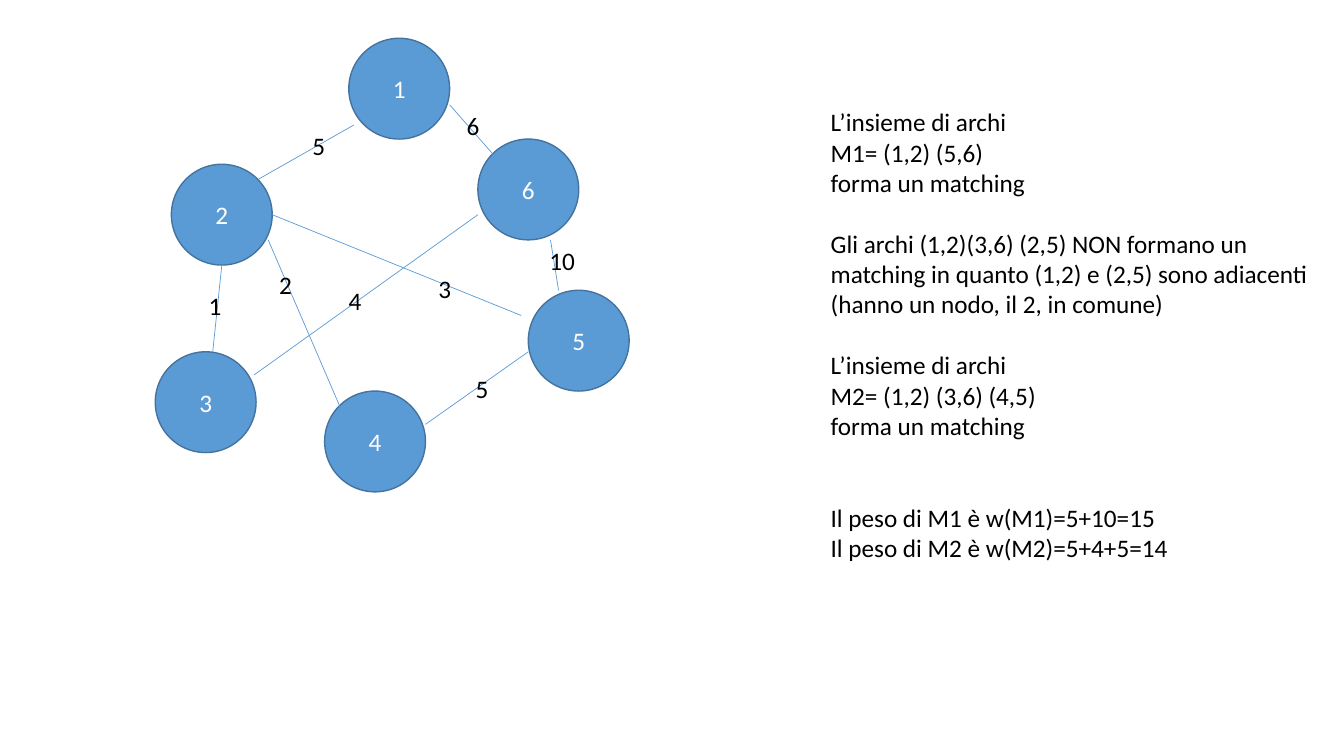
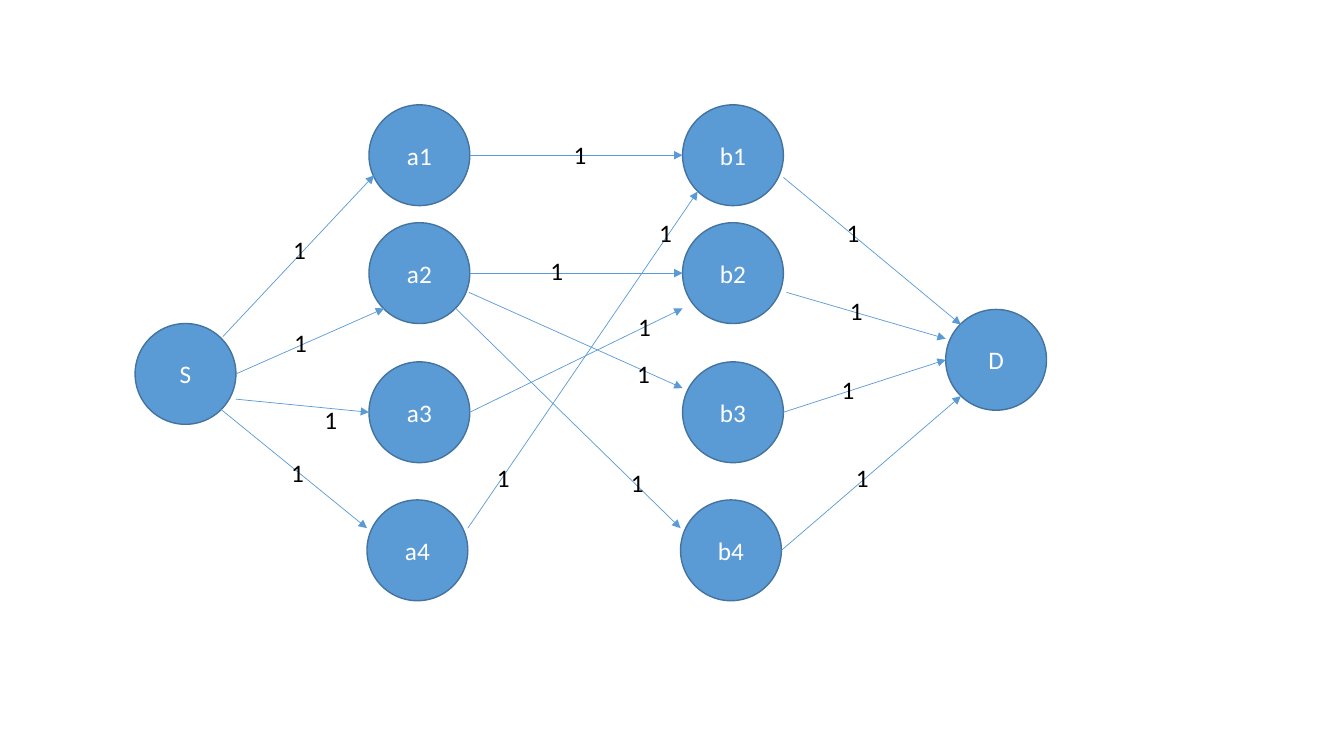
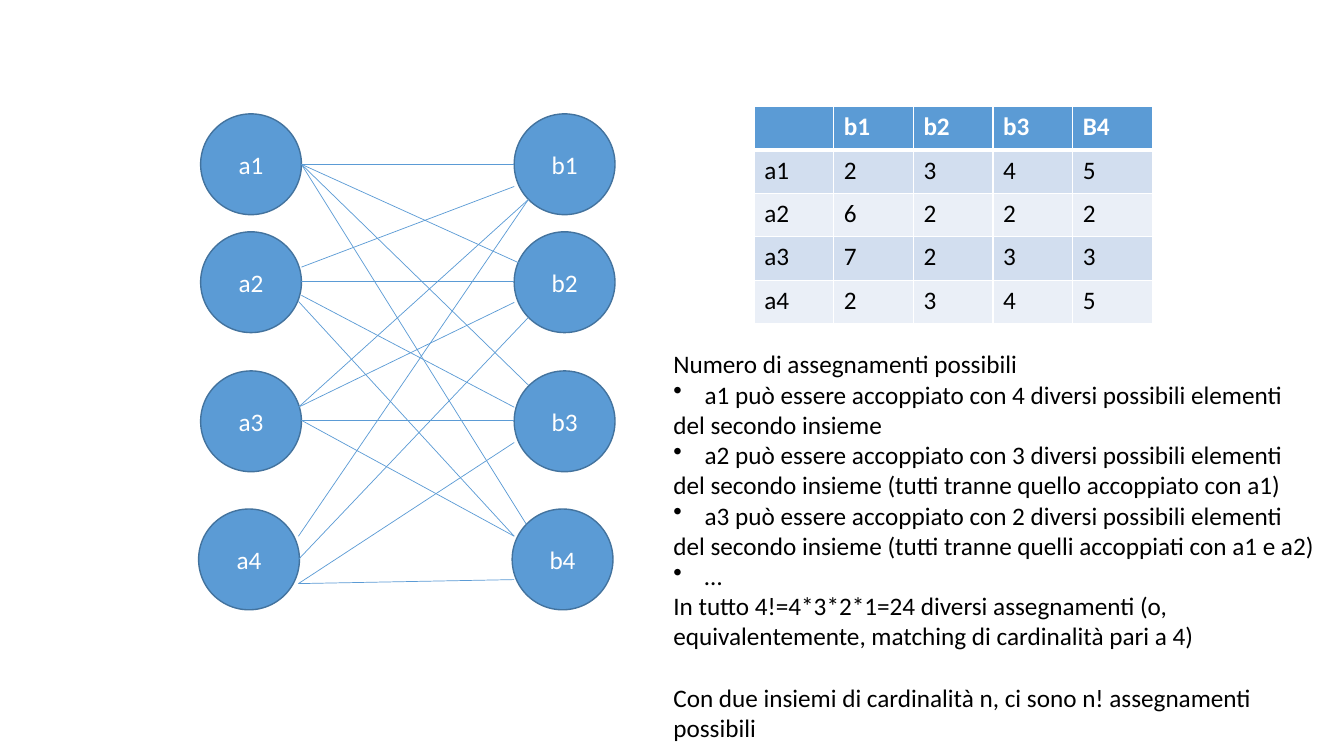
import lxml.etree
import pptx
import pptx.dml.color
import pptx.enum.shapes
import pptx.enum.text
import pptx.oxml
import pptx.oxml.ns
import pptx.util

Inches = pptx.util.Inches
Pt = pptx.util.Pt
qn = pptx.oxml.ns.qn


def color(hex_string):
    return pptx.dml.color.RGBColor.from_string(hex_string)


class GraphDeck:
    """Holds the shared style and the slide being drawn."""

    FONT, SIZE, LINE_SPACE = "Calibri", 18, 22
    BLUE, OUTLINE, WHITE, BLACK = "5B9BD5", "43739E", "FFFFFF", "000000"
    BANDS = ("D2DEEF", "EAEFF7")
    NODE_SIZE = 1
    ROW_OFFSETS = (0, 1.17, 2.55, 3.92)
    COLUMN_GAP = 3.11
    LAST_ROW_SHIFT = -0.02

    def __init__(self):
        self.presentation = pptx.Presentation()
        self.presentation.slide_width = Inches(13.33)
        self.presentation.slide_height = Inches(7.5)
        self.slide = None

    def new_slide(self):
        self.slide = self.presentation.slides.add_slide(self.presentation.slide_layouts[6])

    def run(self, paragraph, text, font_color=BLACK, bold=False):
        run = paragraph.add_run()
        run.text = text
        run.font.name = self.FONT
        run.font.size = Pt(self.SIZE)
        run.font.bold = bold
        run.font.color.rgb = color(font_color)

    def node(self, name, left, top):
        shape = self.slide.shapes.add_shape(
            pptx.enum.shapes.MSO_SHAPE.OVAL, Inches(left), Inches(top),
            Inches(self.NODE_SIZE), Inches(self.NODE_SIZE))
        shape.shadow.inherit = False
        shape.fill.solid()
        shape.fill.fore_color.rgb = color(self.BLUE)
        shape.line.color.rgb = color(self.OUTLINE)
        shape.line.width = Pt(1)
        shape.text_frame.vertical_anchor = pptx.enum.text.MSO_ANCHOR.MIDDLE
        paragraph = shape.text_frame.paragraphs[0]
        paragraph.alignment = pptx.enum.text.PP_ALIGN.CENTER
        self.run(paragraph, name, self.WHITE)

    def bipartite_nodes(self, left, top):
        """Draw the columns a1..a4 and b1..b4."""
        for column, letter in enumerate("ab"):
            for row, offset in enumerate(self.ROW_OFFSETS):
                shift = self.LAST_ROW_SHIFT if row == 3 else 0
                self.node(f"{letter}{row + 1}",
                          left + column * self.COLUMN_GAP + shift, top + offset)

    def edge(self, start, end, arrow=False):
        connector = self.slide.shapes.add_connector(
            pptx.enum.shapes.MSO_CONNECTOR.STRAIGHT,
            *(Inches(value) for value in (*start, *end)))
        connector.line.color.rgb = color(self.BLUE)
        connector.line.width = Pt(0.5)
        if arrow:
            line = connector.line._get_or_add_ln()
            lxml.etree.SubElement(line, qn("a:tailEnd"), type="triangle")
        lxml.etree.SubElement(connector._element.spPr, qn("a:effectLst"))

    def text(self, paragraphs, left, top, width, height, wrap=False):
        """Write (text, blank lines before, bulleted) paragraphs in a box."""
        box = self.slide.shapes.add_textbox(
            Inches(left), Inches(top), Inches(width), Inches(height))
        frame = box.text_frame
        frame.word_wrap = wrap
        frame.auto_size = pptx.enum.text.MSO_AUTO_SIZE.SHAPE_TO_FIT_TEXT
        for index, (text, lines_before, bulleted) in enumerate(paragraphs):
            paragraph = frame.add_paragraph() if index else frame.paragraphs[0]
            if lines_before:
                paragraph.space_before = Pt(lines_before * self.LINE_SPACE)
            if bulleted:
                self.bullet(paragraph)
            self.run(paragraph, text)

    def bullet(self, paragraph):
        properties = paragraph._p.get_or_add_pPr()
        properties.set("marL", str(Inches(0.31)))
        properties.set("indent", str(-Inches(0.31)))
        lxml.etree.SubElement(properties, qn("a:buChar"), char="•")

    def weight(self, text, left, top):
        self.text([(text, 0, False)], left, top, 0.2 + 0.13 * len(text), 0.4)

    def table(self, rows, left, top, column_width, row_height):
        table = self.slide.shapes.add_table(
            len(rows), len(rows[0]), Inches(left), Inches(top),
            Inches(column_width * len(rows[0])), Inches(row_height * len(rows))).table
        for column in table.columns:
            column.width = Inches(column_width)
        for row_index, values in enumerate(rows):
            table.rows[row_index].height = Inches(row_height)
            header = row_index == 0
            fill = self.BLUE if header else self.BANDS[(row_index - 1) % 2]
            for column_index, value in enumerate(values):
                cell = table.cell(row_index, column_index)
                cell.fill.solid()
                cell.fill.fore_color.rgb = color(fill)
                self.borders(cell, top=3 if row_index == 1 else 1, bottom=3 if header else 1)
                if value:
                    self.run(cell.text_frame.paragraphs[0], value,
                             self.WHITE if header else self.BLACK, header)

    def borders(self, cell, top, bottom):
        properties = cell._tc.get_or_add_tcPr()
        sides = (("lnL", 1), ("lnR", 1), ("lnT", top), ("lnB", bottom))
        for index, (side, width) in enumerate(sides):
            line = lxml.etree.Element(qn(f"a:{side}"), w=str(Pt(width)))
            fill = lxml.etree.SubElement(line, qn("a:solidFill"))
            lxml.etree.SubElement(fill, qn("a:srgbClr"), val=self.WHITE)
            properties.insert(index, line)


def matching_slide(deck):
    deck.new_slide()
    for name, left, top in (("1", 3.46, 0.38), ("2", 1.7, 1.63), ("3", 1.54, 3.49),
                            ("4", 3.22, 3.88), ("5", 5.24, 2.88), ("6", 4.74, 1.38)):
        deck.node(name, left, top)
    weighted_edges = (
        ((4.46, 1.04), (4.89, 1.53), "6", (4.53, 1.05)),
        ((2.56, 1.78), (3.51, 1.24), "5", (3, 1.24)),
        ((2.66, 2.38), (3.37, 4.03), "2", (2.67, 2.62)),
        ((2.52, 3.72), (4.74, 2.13), "4", (3.36, 2.78)),
        ((5.46, 2.38), (5.54, 2.88), "10", (5.35, 2.38)),
        ((2.2, 2.63), (2.11, 3.49), "1", (1.97, 2.83)),
        ((4.22, 4.21), (5.24, 3.49), "5", (4.62, 3.65)),
        ((2.7, 2.13), (5.17, 3.13), "3", (4.25, 2.66)),
    )
    for start, end, weight, label in weighted_edges:
        deck.edge(start, end)
        deck.weight(weight, *label)
    deck.text([
        ("L’insieme di archi", 0, False),
        ("M1= (1,2) (5,6)", 0, False),
        ("forma un matching", 0, False),
        ("Gli archi (1,2)(3,6) (2,5) NON formano un", 1, False),
        ("matching in quanto (1,2) e (2,5) sono adiacenti", 0, False),
        ("(hanno un nodo, il 2, in comune)", 0, False),
        ("L’insieme di archi", 1, False),
        ("M2= (1,2) (3,6) (4,5)", 0, False),
        ("forma un matching", 0, False),
        ("Il peso di M1 è w(M1)=5+10=15", 2, False),
        ("Il peso di M2 è w(M2)=5+4+5=14", 0, False),
    ], 8.14, 1.01, 4.99, 4.64)


def flow_slide(deck):
    deck.new_slide()
    deck.bipartite_nodes(3.66, 1.04)
    deck.node("S", 1.34, 3.21)
    deck.node("D", 9.38, 3.07)
    unit_edges = (
        ((4.66, 1.54), (6.77, 1.54), (5.59, 1.33)),
        ((4.64, 5.24), (6.92, 1.9), (4.83, 4.54)),
        ((4.66, 2.71), (6.77, 2.71), (5.36, 2.48)),
        ((4.65, 2.9), (6.77, 3.85), (6.22, 3.51)),
        ((4.52, 3.06), (6.75, 5.24), (6.16, 4.59)),
        ((4.66, 4.09), (6.77, 3.06), (6.23, 3.04)),
        ((2.21, 3.34), (3.71, 1.74), (2.81, 2.28)),
        ((2.34, 3.71), (3.81, 3.06), (2.82, 3.2)),
        ((2.34, 3.96), (3.66, 4.09), (3.12, 3.96)),
        ((2.19, 4.06), (3.64, 5.24), (2.79, 4.49)),
        ((7.77, 1.76), (9.53, 3.22), (8.3, 2.11)),
        ((7.8, 2.9), (9.38, 3.36), (8.33, 2.88)),
        ((7.77, 4.09), (9.38, 3.57), (8.25, 3.66)),
        ((7.75, 5.46), (9.53, 3.93), (8.39, 4.54)),
    )
    for start, end, label in unit_edges:
        deck.edge(start, end, arrow=True)
        deck.weight("1", *label)
    deck.weight("1", 6.44, 2.11)  # second label on the long edge a4-b1


def assignment_slide(deck):
    deck.new_slide()
    deck.bipartite_nodes(1.99, 1.13)
    edges_by_start = {
        (2.99, 1.63): ((5.1, 1.63), (5.24, 2.65), (5.24, 3.82), (5.22, 5.2)),
        (2.99, 2.65): ((5.1, 1.85),),
        (2.99, 2.79): ((5.1, 2.79),),
        (2.99, 2.93): ((5.1, 4.04),),
        (2.96, 2.99): ((5.1, 5.32),),
        (2.96, 4.04): ((5.24, 1.98), (5.1, 3)),
        (2.99, 4.17): ((5.1, 4.17), (5.1, 5.32)),
        (2.96, 5.32): ((5.24, 1.98),),
        (2.96, 5.55): ((5.24, 3.15),),
        (2.96, 5.79): ((5.1, 4.39), (5.1, 5.75)),
    }
    for start, ends in edges_by_start.items():
        for end in ends:
            deck.edge(start, end)
    deck.table([
        ("", "b1", "b2", "b3", "B4"),
        ("a1", "2", "3", "4", "5"),
        ("a2", "6", "2", "2", "2"),
        ("a3", "7", "2", "3", "3"),
        ("a4", "2", "3", "4", "5"),
    ], 7.48, 1.06, 0.79, 0.43)
    deck.text([
        ("Numero di assegnamenti possibili", 0, False),
        ("a1 può essere accoppiato con 4 diversi possibili elementi", 0, True),
        ("del secondo insieme", 0, False),
        ("a2 può essere accoppiato con 3 diversi possibili elementi", 0, True),
        ("del secondo insieme (tutti tranne quello accoppiato con a1)", 0, False),
        ("a3 può essere accoppiato con 2 diversi possibili elementi", 0, True),
        ("del secondo insieme (tutti tranne quelli accoppiati con a1 e a2)", 0, False),
        ("…", 0, True),
        ("In tutto 4!=4*3*2*1=24 diversi assegnamenti (o, equivalentemente, "
         "matching di cardinalità pari a 4)", 0, False),
        ("Con due insiemi di cardinalità n, ci sono n! assegnamenti possibili", 1, False),
    ], 6.58, 3.41, 6.75, 4.04, wrap=True)


def main():
    deck = GraphDeck()
    matching_slide(deck)
    flow_slide(deck)
    assignment_slide(deck)
    deck.presentation.save("out.pptx")


if __name__ == "__main__":
    main()
